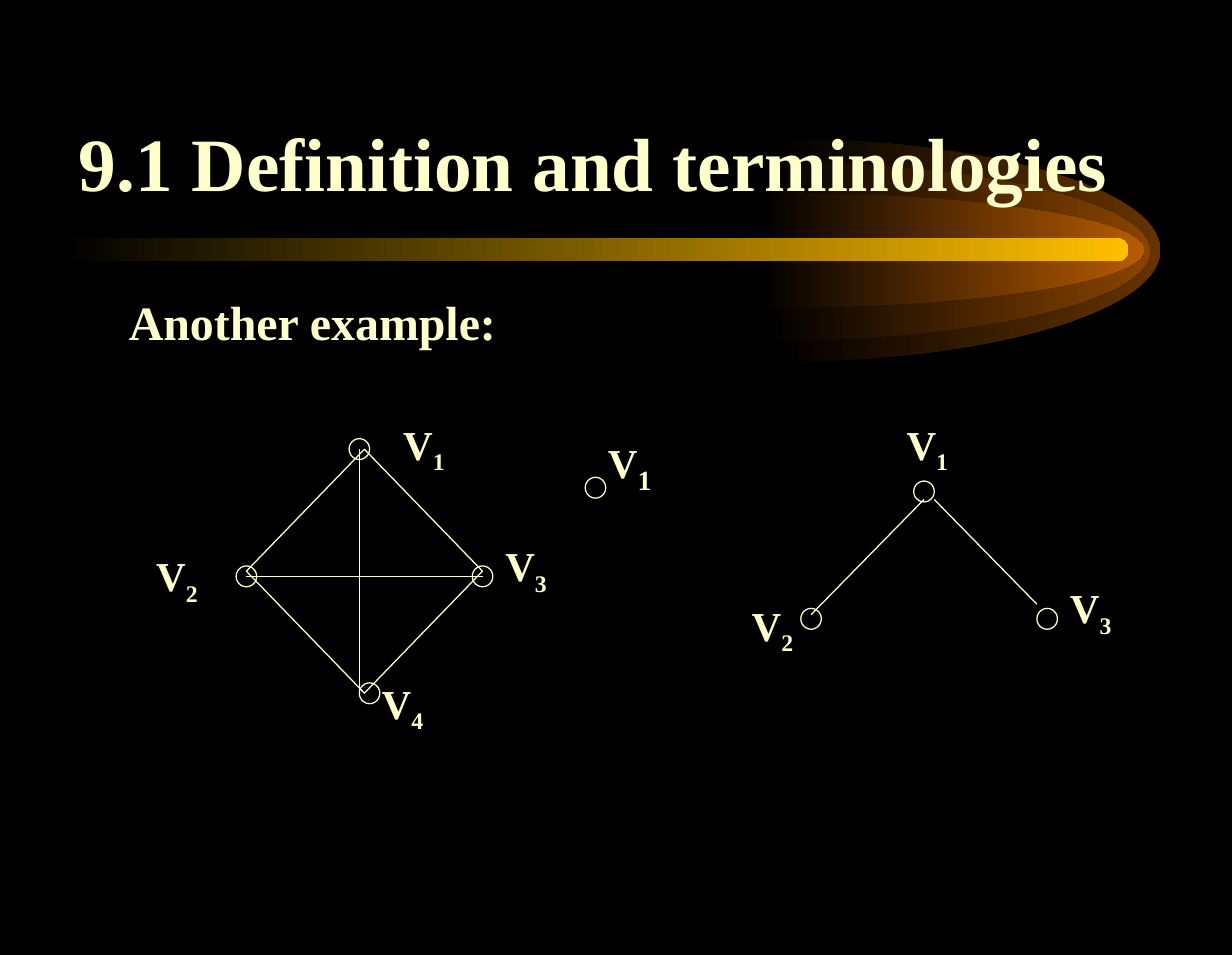
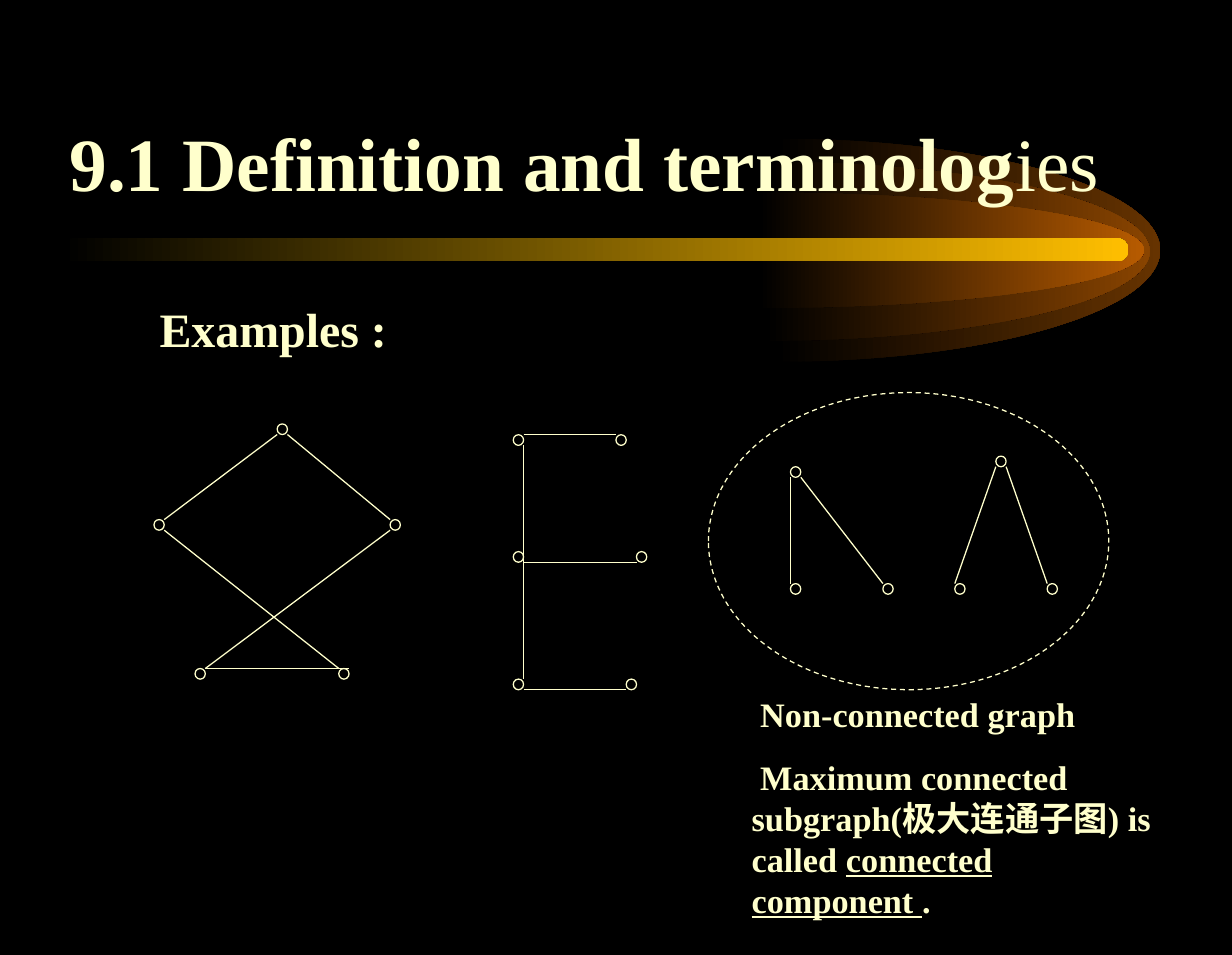
from dataclasses import dataclass
from typing import NamedTuple

from lxml.etree import SubElement
from pptx import Presentation
from pptx.dml.color import RGBColor
from pptx.enum.dml import MSO_LINE
from pptx.enum.shapes import MSO_CONNECTOR, MSO_SHAPE
from pptx.enum.text import MSO_ANCHOR, PP_ALIGN
from pptx.oxml.ns import qn
from pptx.util import Pt

FONT = "Times New Roman"
ROUNDNESS = 0.55  # control-point distance that makes a cubic follow a quarter ellipse
COLORS = {
    "background": "000000",
    "cream": "FFFFCC",
    "outer glow": "663300",
    "middle glow": "894400",
    "inner glow": "B75B00",
    "bar": "FFBF00",
}


class Box(NamedTuple):
    left: float
    top: float
    width: float
    height: float

    def lengths(self) -> list:
        return [Pt(value) for value in self]


class Anchor(NamedTuple):
    """Point on a node, as fractions of its width and height."""
    across: float
    down: float


TOP_LEFT, TOP_RIGHT = Anchor(0, 0), Anchor(1, 0)
BOTTOM_LEFT, BOTTOM_RIGHT = Anchor(0, 1), Anchor(1, 1)
CENTER, MIDDLE_LEFT = Anchor(0.5, 0.5), Anchor(0, 0.5)


class Edge(NamedTuple):
    start: int
    start_anchor: Anchor
    end: int
    end_anchor: Anchor


class Label(NamedTuple):
    number: str
    box: Box
    subscript_size: float = 24


class TextRun(NamedTuple):
    text: str
    size: float
    bold: bool = True
    underline: bool = False


@dataclass
class Graph:
    node_width: float
    node_height: float
    nodes: list[tuple[float, float]]
    edges: list[Edge]
    labels: tuple[Label, ...] = ()

    def point(self, node: int, anchor: Anchor) -> tuple:
        left, top = self.nodes[node]
        return (Pt(left + anchor.across * self.node_width),
                Pt(top + anchor.down * self.node_height))


GLOWS = [
    (Box(453, 81, 225, 130.4), "outer glow"),
    (Box(447, 94.4, 225, 104.8), "middle glow"),
    (Box(443.6, 112.4, 225, 67.6), "inner glow"),
]
BAR = Box(36, 139.1, 623.5, 13.7)

FULL_GRAPH = Graph(
    12, 12.2,
    [(204, 256.3), (138, 330.7), (276, 330.7), (210, 399)],
    [Edge(0, CENTER, 3, MIDDLE_LEFT), Edge(1, CENTER, 2, CENTER)],
    (Label("2", Box(84.2, 318.2, 60, 40)), Label("4", Box(216, 392.8, 72, 40)),
     Label("3", Box(288.2, 312.5, 60, 40)), Label("1", Box(228.5, 241.6, 40, 40))),
)
DIAMOND = Box(144, 262.5, 138, 142.5)
TREE = Graph(
    12, 12.2,
    [(534, 281.1), (468, 355.5), (606, 355.5)],
    [Edge(0, Anchor(0.5, 0.88), 1, Anchor(0.5, 0.3)),
     Edge(0, Anchor(1, 0.88), 2, Anchor(0, -0.2))],
    (Label("2", Box(432.2, 347, 60, 40)), Label("3", Box(618.2, 337, 60, 40)),
     Label("1", Box(522.7, 241.6, 40, 40))),
)
SINGLE_NODE = Graph(12, 12.2, [(342, 278.9)], [],
                    (Label("1", Box(348.2, 248.2, 66, 45), 28),))

CROSSED_GRAPH = Graph(
    6, 6.2,
    [(162, 247.7), (90, 303.6), (228, 303.6), (198, 390.6), (114, 390.6)],
    [Edge(0, BOTTOM_LEFT, 1, TOP_RIGHT), Edge(0, BOTTOM_RIGHT, 2, TOP_LEFT),
     Edge(1, BOTTOM_RIGHT, 3, TOP_LEFT), Edge(2, BOTTOM_LEFT, 4, TOP_RIGHT),
     Edge(4, TOP_RIGHT, 3, TOP_RIGHT)],
)
COMB_GRAPH = Graph(
    6, 6.2,
    [(300, 254), (360, 254), (300, 322.3), (372, 322.3), (300, 396.8), (366, 396.8)],
    [Edge(0, BOTTOM_RIGHT, 4, TOP_RIGHT), Edge(0, TOP_RIGHT, 1, TOP_LEFT),
     Edge(2, BOTTOM_RIGHT, 3, BOTTOM_LEFT), Edge(4, BOTTOM_RIGHT, 5, BOTTOM_LEFT)],
)
NON_CONNECTED_GRAPH = Graph(
    6, 6.2,
    [(462, 272.7), (462, 341), (516, 341), (582, 266.5), (558, 341), (612, 341)],
    [Edge(0, BOTTOM_LEFT, 1, TOP_LEFT), Edge(0, BOTTOM_RIGHT, 2, TOP_LEFT),
     Edge(3, BOTTOM_LEFT, 4, TOP_LEFT), Edge(3, BOTTOM_RIGHT, 5, TOP_LEFT)],
)
ENCLOSURE = Box(414, 229.4, 234, 173.6)


def rgb(name: str) -> RGBColor:
    return RGBColor.from_string(COLORS[name])


def fade_from_black(shape, color: str) -> None:
    shape.shadow.inherit = False
    shape.line.fill.background()
    shape.fill.gradient()
    shape.fill.gradient_angle = 0
    for stop, name in zip(shape.fill.gradient_stops, ("background", color)):
        stop.color.rgb = rgb(name)


def add_glow(slide, box: Box, color: str) -> None:
    """Draw the right half of an ellipse centred on the left side of the box."""
    left, top, width, height = box.lengths()
    middle = height // 2
    builder = slide.shapes.build_freeform(left, top)
    builder.add_line_segments([(left + width, top + middle), (left, top + height)])
    shape = builder.convert_to_shape()
    reach, rise = ROUNDNESS * width, ROUNDNESS * middle
    quarters = [
        [(reach, 0), (width, middle - rise), (width, middle)],
        [(width, middle + rise), (reach, height), (0, height)],
    ]
    outline = next(shape._element.iter(qn("a:path")))
    for segment, points in zip(outline.findall(qn("a:lnTo")), quarters):
        segment.clear()
        curve = SubElement(outline, qn("a:cubicBezTo"))
        for across, down in points:
            SubElement(curve, qn("a:pt"), x=str(int(across)), y=str(int(down)))
        outline.replace(segment, curve)
    fade_from_black(shape, color)


def add_outline(slide, kind: MSO_SHAPE, box: Box):
    shape = slide.shapes.add_shape(kind, *box.lengths())
    shape.shadow.inherit = False
    shape.fill.background()
    shape.line.color.rgb = rgb("cream")
    shape.line.width = Pt(0.75)
    return shape


def add_text(slide, box: Box, paragraphs: list[list[TextRun]],
             margin: float = 0, indent: float = 0):
    text_frame = slide.shapes.add_textbox(*box.lengths()).text_frame
    text_frame.word_wrap = True
    for index, runs in enumerate(paragraphs):
        paragraph = text_frame.add_paragraph() if index else text_frame.paragraphs[0]
        properties = paragraph._p.get_or_add_pPr()
        properties.set("marL", str(Pt(margin)))
        properties.set("indent", str(Pt(indent)))
        if index:
            paragraph.space_before = Pt(12.5)
        for text, size, bold, underline in runs:
            run = paragraph.add_run()
            run.text = text
            run.font.name = FONT
            run.font.size = Pt(size)
            run.font.bold = bold
            run.font.underline = underline
            run.font.color.rgb = rgb("cream")
    return text_frame


def add_label(slide, label: Label) -> None:
    runs = [TextRun("V", 24), TextRun(label.number, label.subscript_size)]
    text_frame = add_text(slide, label.box, [runs])
    subscript = text_frame.paragraphs[0].runs[1]
    subscript._r.get_or_add_rPr().set("baseline", "-25000")


def add_graph(slide, graph: Graph) -> None:
    for left, top in graph.nodes:
        add_outline(slide, MSO_SHAPE.OVAL,
                    Box(left, top, graph.node_width, graph.node_height))
    for edge in graph.edges:
        connector = slide.shapes.add_connector(
            MSO_CONNECTOR.STRAIGHT,
            *graph.point(edge.start, edge.start_anchor),
            *graph.point(edge.end, edge.end_anchor))
        connector.line.color.rgb = rgb("cream")
        connector.line.width = Pt(0.75)
        SubElement(connector._element.spPr, qn("a:effectLst"))
    for label in graph.labels:
        add_label(slide, label)


def add_base_slide(presentation, title_box: Box, title: list[TextRun]):
    """Add a slide with the background, the comet and the title."""
    slide = presentation.slides.add_slide(presentation.slide_layouts[6])
    slide.background.fill.solid()
    slide.background.fill.fore_color.rgb = rgb("background")
    for box, color in GLOWS:
        add_glow(slide, box, color)
    bar = slide.shapes.add_shape(MSO_SHAPE.ROUNDED_RECTANGLE, *BAR.lengths())
    bar.adjustments[0] = 0.5
    fade_from_black(bar, "bar")
    text_frame = add_text(slide, title_box, [title])
    text_frame.vertical_anchor = MSO_ANCHOR.BOTTOM
    text_frame.paragraphs[0].alignment = PP_ALIGN.CENTER
    return slide


def add_subgraph_slide(presentation) -> None:
    slide = add_base_slide(presentation, Box(28, 31, 638, 93),
                           [TextRun("9.1 Definition and terminologies", 44)])
    add_text(slide, Box(54.2, 167.6, 612, 335), [[TextRun("Another example:", 28)]],
             margin=14)
    add_outline(slide, MSO_SHAPE.DIAMOND, DIAMOND)
    for graph in (FULL_GRAPH, TREE, SINGLE_NODE):
        add_graph(slide, graph)


def add_connectivity_slide(presentation) -> None:
    slide = add_base_slide(presentation, Box(16.8, 31, 649.5, 93),
                           [TextRun("9.1 Definition and terminolog", 44),
                            TextRun("ies", 44, bold=False)])
    add_text(slide, Box(78.2, 171.5, 612, 361), [[TextRun("Examples :", 28)]], margin=8)
    for graph in (CROSSED_GRAPH, COMB_GRAPH, NON_CONNECTED_GRAPH):
        add_graph(slide, graph)
    add_outline(slide, MSO_SHAPE.OVAL, ENCLOSURE).line.dash_style = MSO_LINE.DASH
    add_text(slide, Box(432.2, 401.6, 264, 139.5), [
        [TextRun("Non-connected graph", 20)],
        [TextRun("Maximum connected subgraph(极大连通子图) is called ", 20),
         TextRun("connected component ", 20, underline=True),
         TextRun(".", 20)],
    ], indent=5)


def main() -> None:
    presentation = Presentation()
    presentation.slide_width = Pt(720)
    presentation.slide_height = Pt(558)
    add_subgraph_slide(presentation)
    add_connectivity_slide(presentation)
    presentation.save("out.pptx")


if __name__ == "__main__":
    main()
